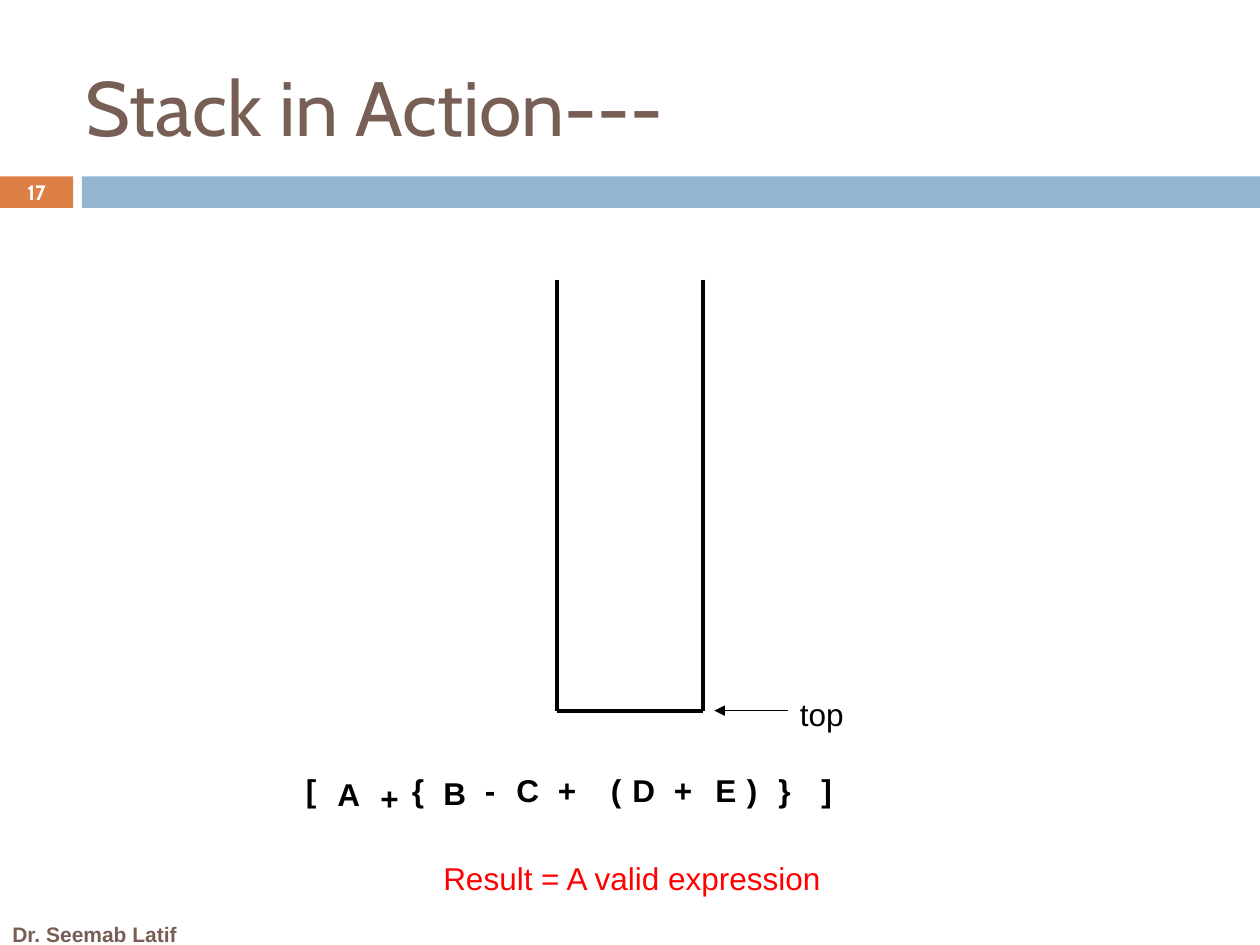
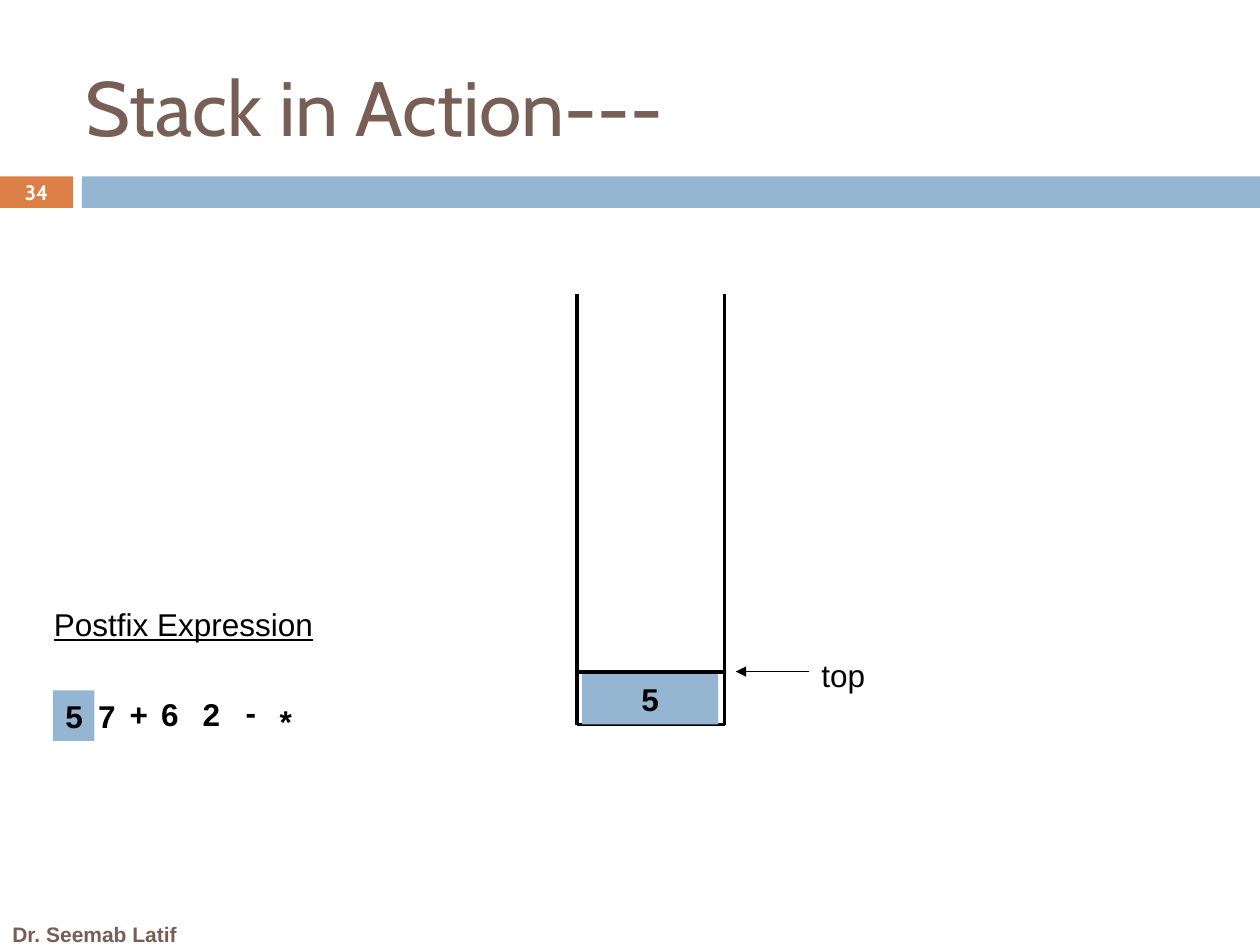
from lxml.etree import SubElement
from pptx import Presentation
from pptx.dml.color import RGBColor
from pptx.enum.shapes import MSO_CONNECTOR, MSO_SHAPE
from pptx.enum.text import MSO_ANCHOR as Anchor, PP_ALIGN as Align
from pptx.oxml.ns import qn
from pptx.util import Inches, Pt

BLACK, WHITE, RED = "000000", "FFFFFF", "FF0000"
BROWN, ORANGE, BLUE = "775F55", "DD8047", "94B6D2"
BODY_FONT, TITLE_FONT = "Arial", "Cabin"
BAND_TOP, BAND_HEIGHT = 1.4, 0.25
NUMBER_WIDTH = 0.58
LINE_HEIGHT = 0.4
STACK_HEIGHT = 3.42


def color(value):
    return RGBColor.from_string(value)


def write(shape, text, size=18, fill=BLACK, font=BODY_FONT, bold=False,
          underline=False, align=Align.LEFT, anchor=Anchor.TOP):
    frame = shape.text_frame
    frame.word_wrap = True
    frame.vertical_anchor = anchor
    paragraph = frame.paragraphs[0]
    paragraph.text = text
    paragraph.alignment = align
    paragraph.font.name = font
    paragraph.font.size = Pt(size)
    paragraph.font.bold = bold
    paragraph.font.underline = underline
    paragraph.font.color.rgb = color(fill)


def add_text(slide, box, text, **style):
    write(slide.shapes.add_textbox(*map(Inches, box)), text, **style)


def add_rectangle(slide, box, fill):
    shape = slide.shapes.add_shape(MSO_SHAPE.RECTANGLE, *map(Inches, box))
    shape.shadow.inherit = False
    shape.fill.solid()
    shape.fill.fore_color.rgb = color(fill)
    shape.line.fill.background()
    return shape


def add_line(slide, start, end, width=2.25, arrow=False):
    connector = slide.shapes.add_connector(
        MSO_CONNECTOR.STRAIGHT, *map(Inches, (*start, *end)))
    connector.line.color.rgb = color(BLACK)
    connector.line.width = Pt(width)
    if arrow:
        SubElement(connector.line._get_or_add_ln(), qn("a:tailEnd"), type="triangle")
    SubElement(connector._element.spPr, qn("a:effectLst"))


def add_frame(presentation, title, number):
    slide = presentation.slides.add_slide(presentation.slide_layouts[6])
    add_rectangle(slide, (0, BAND_TOP, NUMBER_WIDTH, BAND_HEIGHT), ORANGE)
    add_rectangle(slide, (0.65, BAND_TOP, 9.35, BAND_HEIGHT), BLUE)
    add_text(slide, (0, 7.25, 1.83, 0.32), "Dr. Seemab Latif", size=12,
             fill=BROWN, bold=True, anchor=Anchor.MIDDLE)
    add_text(slide, (0.58, 0.42, 6.58, 0.84), title, size=44, fill=BROWN,
             font=TITLE_FONT)
    add_text(slide, (0, BAND_TOP - 0.01, NUMBER_WIDTH, 0.27), str(number),
             size=11.9, fill=WHITE, font=TITLE_FONT, bold=True,
             align=Align.CENTER, anchor=Anchor.MIDDLE)
    return slide


def add_stack(slide, left, top, width, items=()):
    right, bottom = left + width, top + STACK_HEIGHT
    add_line(slide, (left, top), (left, bottom))
    add_line(slide, (right, top), (right, bottom))
    add_line(slide, (left, bottom), (right, bottom))
    level = bottom
    for item in items:
        level -= 0.42
        add_line(slide, (left, level), (right, level))
        cell = add_rectangle(
            slide, (left + 0.04, level + 0.02, width - 0.09, LINE_HEIGHT), BLUE)
        write(cell, item, bold=True, align=Align.CENTER)
    label_left = right + 0.67
    add_text(slide, (label_left, level - 0.17, 1.5, LINE_HEIGHT), "top")
    add_line(slide, (label_left, level), (right + 0.09, level), 0.75, arrow=True)


def add_expression(slide, left, top, tokens):
    for token, offset, drop in tokens:
        add_text(slide, (left + offset, top + drop, 0.42, LINE_HEIGHT), token,
                 bold=True)


def add_bracket_slide(presentation):
    slide = add_frame(presentation, "Stack in Action---", 17)
    add_stack(slide, 4.42, 2.22, 1.16)
    add_expression(slide, 2.33, 6.07, [
        ("[", 0, 0), ("A", 0.25, 0.03), ("+", 0.59, 0.06), ("{", 0.84, 0),
        ("B", 1.09, 0.02), ("-", 1.42, 0), ("C", 1.67, 0), ("+", 2, 0),
        ("(", 2.42, 0), ("D", 2.59, 0), ("+", 2.92, 0), ("E", 3.25, 0),
        (")", 3.5, 0), ("}", 3.75, 0), ("]", 4.09, 0)])
    add_text(slide, (3.42, 6.77, 3.5, LINE_HEIGHT), "Result = A valid expression",
             fill=RED)


def add_postfix_slide(presentation):
    slide = add_frame(presentation, "Stack in Action---", 34)
    add_stack(slide, 4.58, 2.33, 1.17, ["5"])
    current = add_rectangle(slide, (0.42, 5.48, 0.33, LINE_HEIGHT), BLUE)
    write(current, "5", bold=True)
    add_expression(slide, 0.68, 5.47, [
        ("7", 0, 0.01), ("+", 0.25, 0), ("6", 0.5, 0), ("2", 0.83, 0),
        ("-", 1.17, -0.02), ("*", 1.44, 0.05)])
    add_text(slide, (0.33, 4.75, 2.75, LINE_HEIGHT), "Postfix Expression",
             underline=True)


def main():
    presentation = Presentation()
    presentation.slide_width = Inches(10)
    presentation.slide_height = Inches(7.5)
    add_bracket_slide(presentation)
    add_postfix_slide(presentation)
    presentation.save("out.pptx")


if __name__ == "__main__":
    main()
